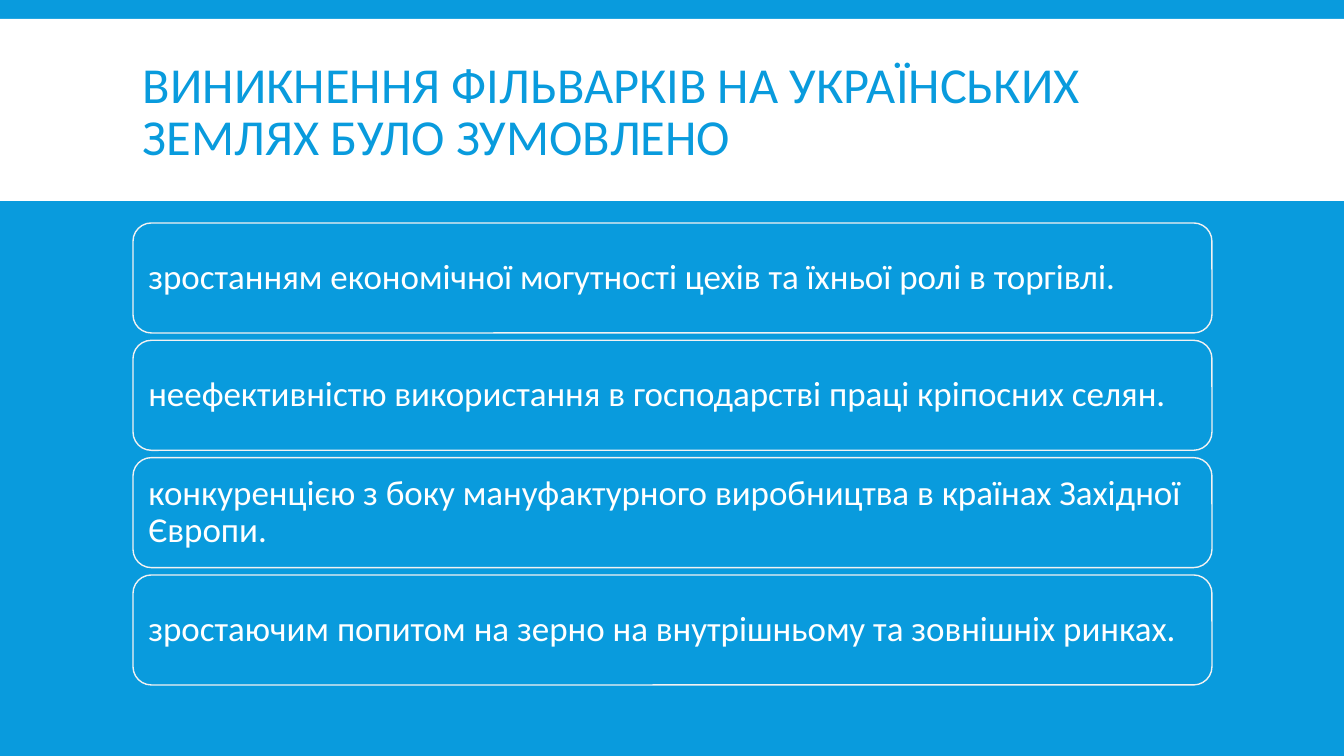
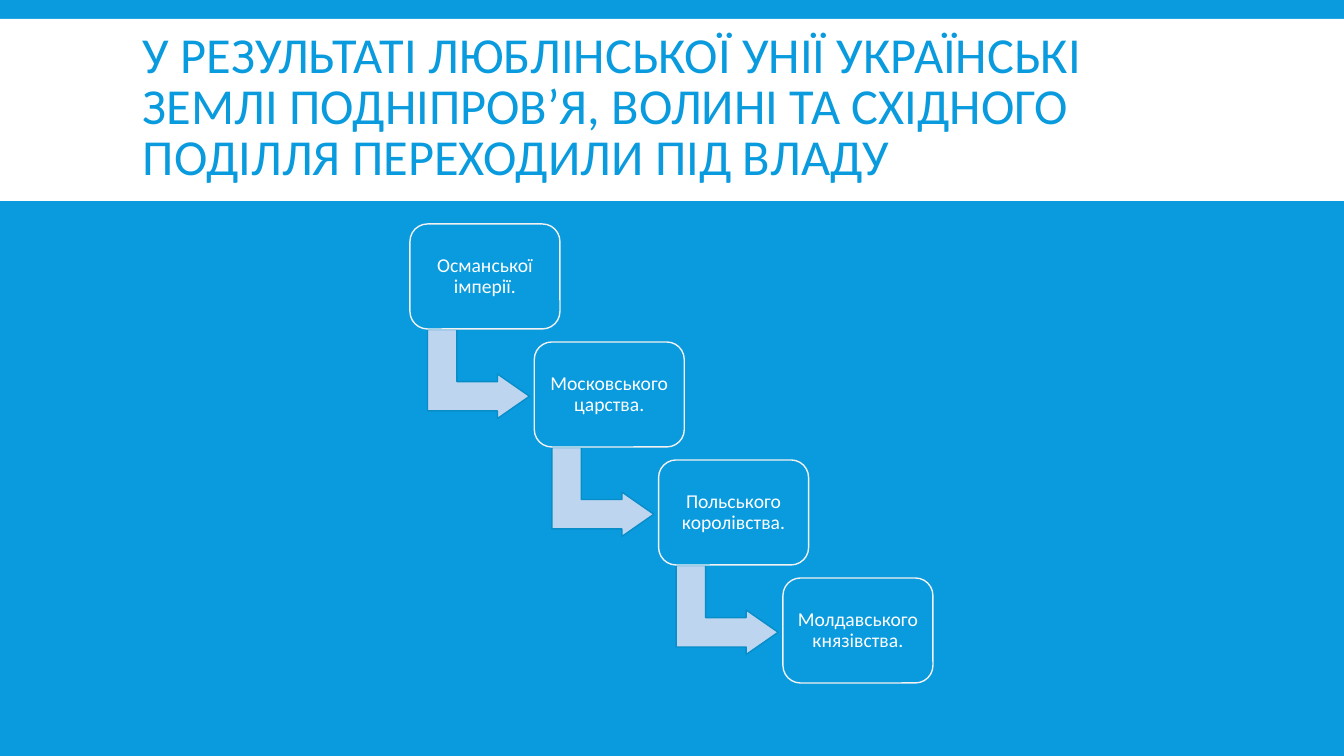
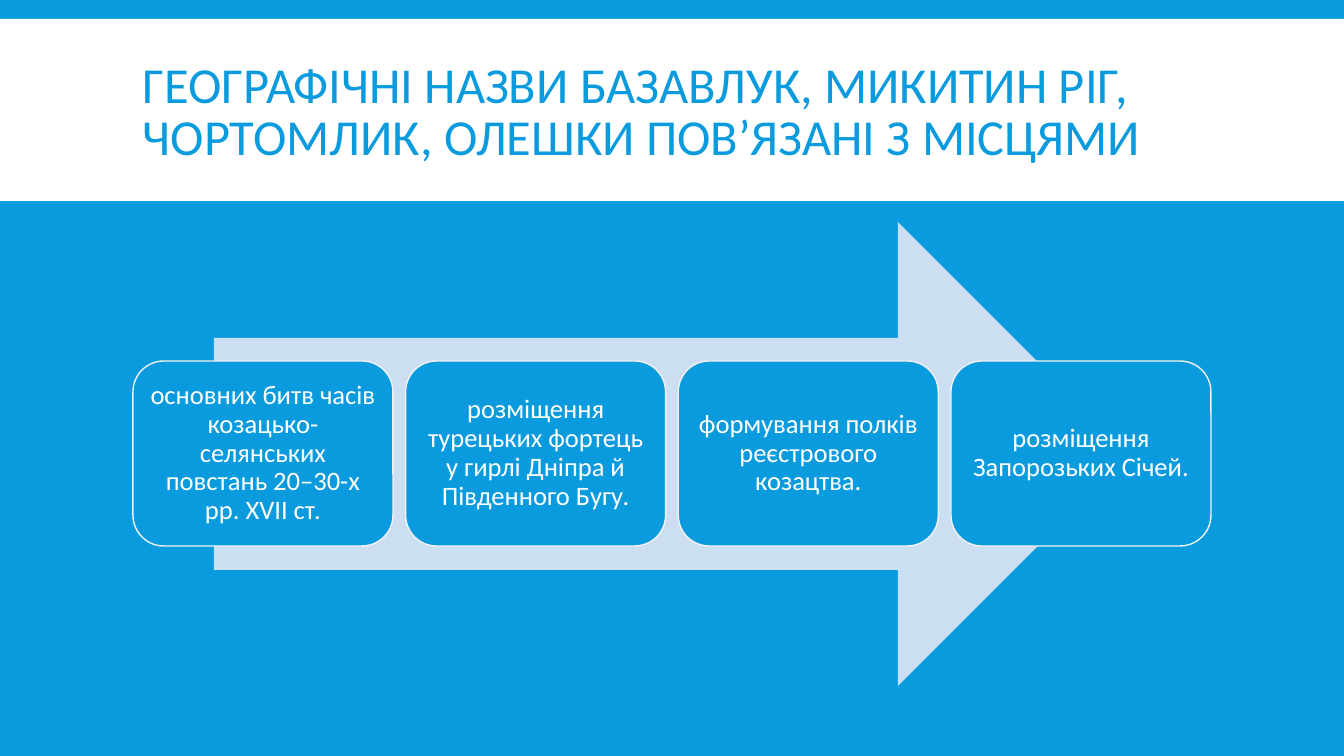
from pptx import Presentation
from pptx.dml.color import RGBColor
from pptx.enum.shapes import MSO_SHAPE
from pptx.enum.text import MSO_ANCHOR, PP_ALIGN
from pptx.util import Emu, Pt

LEFT, CENTER = PP_ALIGN.LEFT, PP_ALIGN.CENTER
RECT, ROUNDED = MSO_SHAPE.RECTANGLE, MSO_SHAPE.ROUNDED_RECTANGLE
BENT_ARROW, RIGHT_ARROW = MSO_SHAPE.BENT_UP_ARROW, MSO_SHAPE.RIGHT_ARROW
MIDDLE = MSO_ANCHOR.MIDDLE

SLIDE_W, SLIDE_H = 1344, 756
EMU_PER_PX = 12192000 / SLIDE_W
FONT = "Calibri"
COLORS = {
    "blue": "099BDD",
    "white": "FFFFFF",
    "outline": "F2F2F2",
    "step_arrow": "BDD5EF",
    "step_arrow_edge": "088DC9",
    "big_arrow": "CCDEF2",
}

CAUSES_TITLE = "ВИНИКНЕННЯ ФІЛЬВАРКІВ НА УКРАЇНСЬКИХ ЗЕМЛЯХ БУЛО ЗУМОВЛЕНО"
CAUSES = [
    "зростанням економічної могутності цехів та їхньої ролі в торгівлі.",
    "неефективністю використання в господарстві праці кріпосних селян.",
    "конкуренцією з боку мануфактурного виробництва в країнах Західної Європи.",
    "зростаючим попитом на зерно на внутрішньому та зовнішніх ринках.",
]
POWERS_TITLE = ("У РЕЗУЛЬТАТІ ЛЮБЛІНСЬКОЇ УНІЇ УКРАЇНСЬКІ ЗЕМЛІ ПОДНІПРОВ’Я, "
                "ВОЛИНІ ТА СХІДНОГО ПОДІЛЛЯ ПЕРЕХОДИЛИ ПІД ВЛАДУ")
POWERS = [
    "Османської імперії.",
    "Московського царства.",
    "Польського королівства.",
    "Молдавського князівства.",
]
PLACES_TITLE = ("ГЕОГРАФІЧНІ НАЗВИ БАЗАВЛУК, МИКИТИН РІГ, ЧОРТОМЛИК, "
                "ОЛЕШКИ ПОВ’ЯЗАНІ З МІСЦЯМИ")
PLACES = [
    "основних битв часів козацько-селянських повстань 20–30-х рр. XVII ст.",
    "розміщення турецьких фортець у гирлі Дніпра й Південного Бугу.",
    "формування полків реєстрового козацтва.",
    "розміщення Запорозьких Січей.",
]


def px(length):
    return Emu(round(length * EMU_PER_PX))


def rgb(name):
    return RGBColor.from_string(COLORS[name])


def spread(first, last, count):
    """Return count evenly spaced positions from first to last."""
    return [first + i * (last - first) / (count - 1) for i in range(count)]


def write(shape, text, *, size, color="white", align=LEFT, inset=(10, 10), spacing=0.9):
    """Fill a shape with one paragraph; inset is (horizontal, vertical) px."""
    frame = shape.text_frame
    frame.word_wrap = True
    frame.vertical_anchor = MIDDLE
    frame.margin_left = frame.margin_right = px(inset[0])
    frame.margin_top = frame.margin_bottom = px(inset[1])
    paragraph = frame.paragraphs[0]
    paragraph.alignment = align
    paragraph.line_spacing = spacing
    run = paragraph.add_run()
    run.text = text
    run.font.name = FONT
    run.font.size = Pt(size)
    run.font.color.rgb = rgb(color)


def add_block(slide, kind, box, fill, line=None):
    block = slide.shapes.add_shape(kind, *map(px, box))
    block.shadow.inherit = False
    block.fill.solid()
    block.fill.fore_color.rgb = rgb(fill)
    if line:
        block.line.color.rgb = rgb(line)
        block.line.width = Pt(1)
    else:
        block.line.fill.background()
    return block


def add_card(slide, box, text, **text_format):
    write(add_block(slide, ROUNDED, box, "blue", "outline"), text, **text_format)


def add_titled_slide(prs, title, title_top=31):
    slide = prs.slides.add_slide(prs.slide_layouts[6])
    add_block(slide, RECT, (0, 19, SLIDE_W, 182), "white")
    heading = slide.shapes.add_textbox(*map(px, (133, title_top, 1079, 166)))
    write(heading, title, size=36, color="blue", inset=(10, 5), spacing=0.85)
    return slide


def build_causes(prs):
    slide = add_titled_slide(prs, CAUSES_TITLE)
    for top, cause in zip(spread(223, 575, len(CAUSES)), CAUSES):
        add_card(slide, (133, top, 1079, 110), cause, size=25)


def build_powers(prs):
    slide = add_titled_slide(prs, POWERS_TITLE, title_top=26)
    count = len(POWERS)
    steps = zip(spread(410, 783, count), spread(224, 578, count), POWERS)
    for i, (left, top, power) in enumerate(steps):
        if i < count - 1:
            arrow = add_block(slide, BENT_ARROW, (left + 24, top + 99, 89, 102),
                              "step_arrow", "step_arrow_edge")
            arrow.rotation = 90
            for k, ratio in enumerate((0.33, 0.25, 0.36)):
                arrow.adjustments[k] = ratio
        add_card(slide, (left, top, 150, 105), power, size=14, align=CENTER, inset=(6, 6))


def build_places(prs):
    slide = add_titled_slide(prs, PLACES_TITLE)
    add_block(slide, RIGHT_ARROW, (214, 222, 916, 464), "big_arrow")
    for left, place in zip(spread(133, 951, len(PLACES)), PLACES):
        add_card(slide, (left, 361, 260, 185), place, size=19, align=CENTER, inset=(8, 8))


def main():
    prs = Presentation()
    prs.slide_width, prs.slide_height = px(SLIDE_W), px(SLIDE_H)
    backdrop = prs.slide_master.background.fill
    backdrop.solid()
    backdrop.fore_color.rgb = rgb("blue")
    for build in (build_causes, build_powers, build_places):
        build(prs)
    prs.save("out.pptx")


if __name__ == "__main__":
    main()
